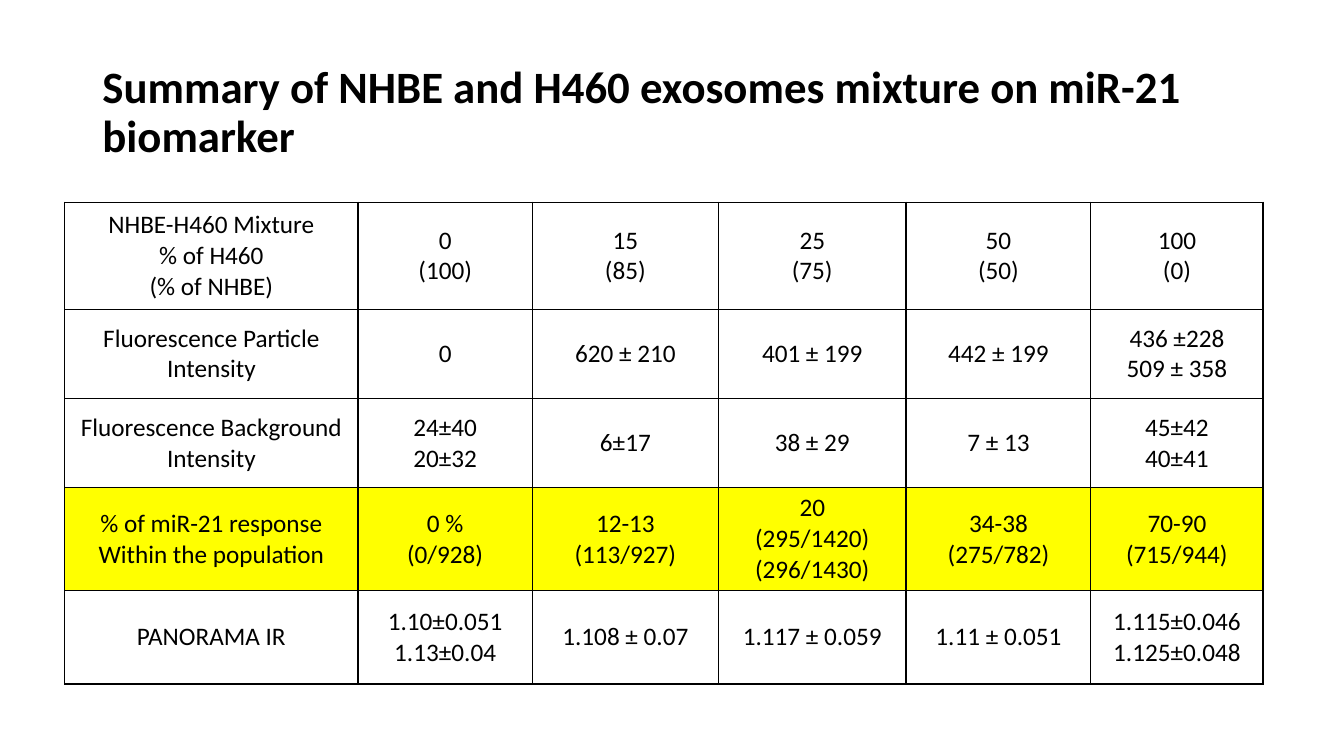
"""Build a slide with a table of exosome mixture results for miR-21."""
from lxml import etree
from pptx import Presentation
from pptx.dml.color import RGBColor
from pptx.enum.text import MSO_ANCHOR, MSO_AUTO_SIZE, PP_ALIGN
from pptx.oxml.ns import qn
from pptx.util import Pt

MIDDLE = MSO_ANCHOR.MIDDLE
NO_AUTOFIT = MSO_AUTO_SIZE.NONE
LEFT, CENTER = PP_ALIGN.LEFT, PP_ALIGN.CENTER
TITLE_ONLY = 5
FONT = "Calibri"
COLORS = {"ink": "000000", "highlight": "FFFF00"}
COLUMN_WIDTHS = [209.5, 124.5, 133, 134, 132, 123]
ROW_HEIGHTS = [76.5, 63.5, 64, 73, 67]
HIGHLIGHT_ROW = 3
ROWS = [
    ["NHBE-H460 Mixture\n% of H460\n(% of NHBE)", "0\n(100)", "15\n(85)",
     "25\n(75)", "50\n(50)", "100\n(0)"],
    ["Fluorescence Particle\nIntensity", "0", "620 ± 210", "401 ± 199",
     "442 ± 199", "436 ±228\n509 ± 358"],
    ["Fluorescence Background\nIntensity", "24±40\n20±32", "6±17", "38 ± 29",
     "7 ± 13", "45±42\n40±41"],
    ["% of miR-21 response\nWithin the population", "0 %\n(0/928)",
     "12-13\n(113/927)", "20\n(295/1420)\n(296/1430)", "34-38\n(275/782)",
     "70-90\n(715/944)"],
    ["PANORAMA IR", "1.10±0.051\n1.13±0.04", "1.108 ± 0.07",
     "1.117 ± 0.059", "1.11 ± 0.051", "1.115±0.046\n1.125±0.048"],
]


def format_paragraph(paragraph, size, alignment, bold=False):
    paragraph.alignment = alignment
    paragraph.font.name = FONT
    paragraph.font.size = Pt(size)
    paragraph.font.bold = bold
    paragraph.font.color.rgb = RGBColor.from_string(COLORS["ink"])


def add_borders(cell):
    properties = cell._tc.get_or_add_tcPr()
    for side in ("a:lnL", "a:lnR", "a:lnT", "a:lnB"):
        line = etree.SubElement(properties, qn(side), w=str(Pt(1)))
        fill = etree.SubElement(line, qn("a:solidFill"))
        etree.SubElement(fill, qn("a:srgbClr"), val=COLORS["ink"])


presentation = Presentation()
presentation.slide_width = Pt(960)
presentation.slide_height = Pt(540)
slide = presentation.slides.add_slide(presentation.slide_layouts[TITLE_ONLY])

title = slide.shapes.title
title.left, title.top, title.width, title.height = Pt(66), Pt(28.75), Pt(828), Pt(104.4)
title.text_frame.text = "Summary of NHBE and H460 exosomes mixture on miR-21 biomarker"
title.text_frame.vertical_anchor = MIDDLE
title.text_frame.word_wrap = True
title.text_frame.auto_size = NO_AUTOFIT
title_paragraph = title.text_frame.paragraphs[0]
title_paragraph.line_spacing = 0.9
format_paragraph(title_paragraph, 32, LEFT, bold=True)

table = slide.shapes.add_table(
    len(ROWS), len(COLUMN_WIDTHS), Pt(46.25), Pt(144.5),
    Pt(sum(COLUMN_WIDTHS)), Pt(sum(ROW_HEIGHTS))).table
table.first_row = False
table.horz_banding = False
for column, width in zip(table.columns, COLUMN_WIDTHS):
    column.width = Pt(width)
for row, height in zip(table.rows, ROW_HEIGHTS):
    row.height = Pt(height)

for row_index, texts in enumerate(ROWS):
    for column_index, text in enumerate(texts):
        cell = table.cell(row_index, column_index)
        cell.text = text
        cell.vertical_anchor = MIDDLE
        add_borders(cell)
        if row_index == HIGHLIGHT_ROW:
            cell.fill.solid()
            cell.fill.fore_color.rgb = RGBColor.from_string(COLORS["highlight"])
        else:
            cell.fill.background()
        for paragraph in cell.text_frame.paragraphs:
            format_paragraph(paragraph, 18, CENTER)

presentation.save("out.pptx")
